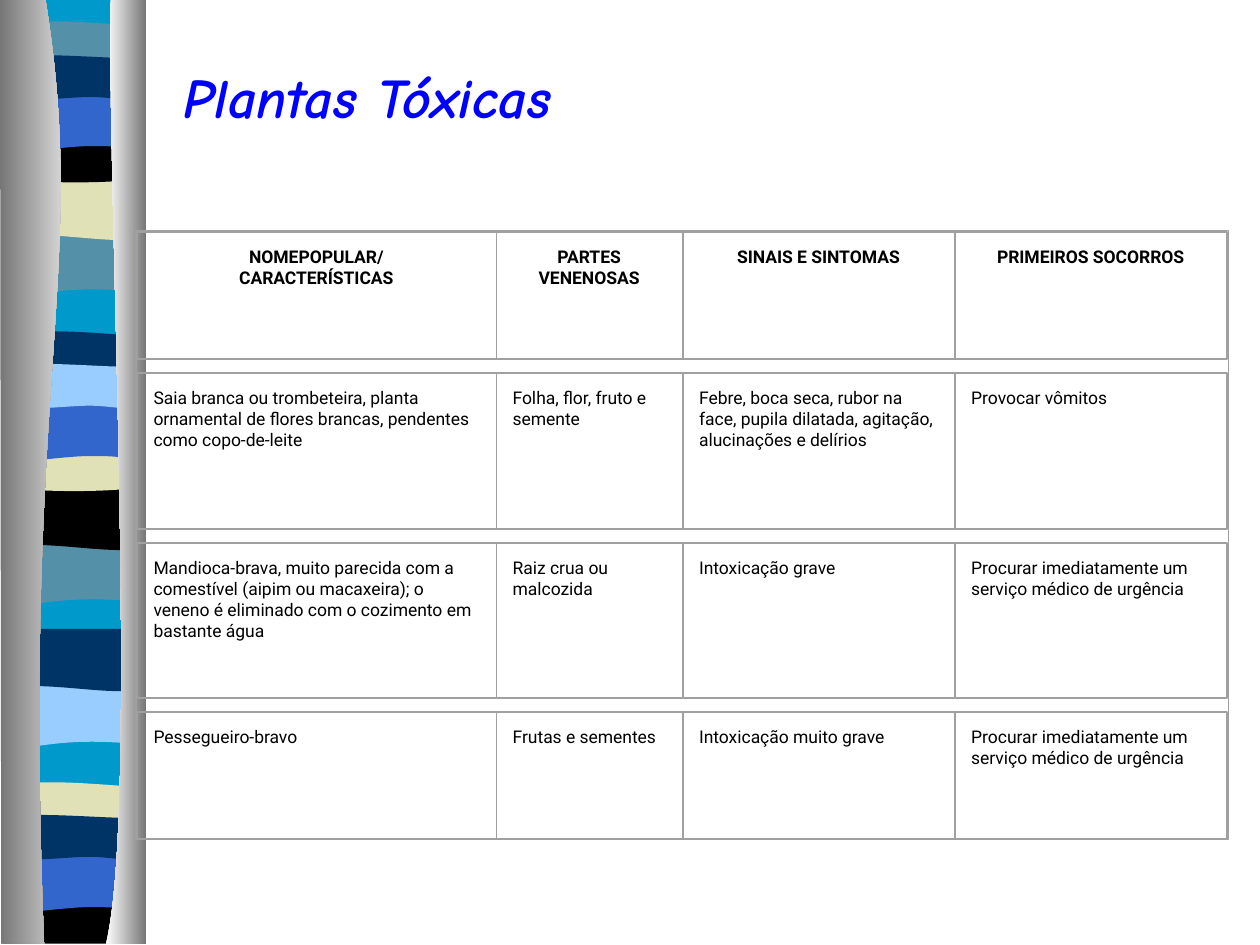
from dataclasses import dataclass

from lxml import etree
from pptx import Presentation
from pptx.dml.color import RGBColor
from pptx.enum.shapes import MSO_SHAPE
from pptx.enum.text import MSO_AUTO_SIZE, PP_ALIGN
from pptx.oxml.ns import qn
from pptx.util import Inches, Pt

RECT = MSO_SHAPE.RECTANGLE
GROW = MSO_AUTO_SIZE.SHAPE_TO_FIT_TEXT
LEFT, CENTER = PP_ALIGN.LEFT, PP_ALIGN.CENTER


@dataclass(frozen=True)
class Theme:
    head: str = "Comic Neue"
    body: str = "Roboto"
    title: int = 32
    small: int = 10
    blue: str = "0000FF"
    ink: str = "000000"
    rule: str = "A0A0A0"
    dark: str = "767676"
    white: str = "FFFFFF"
    cyan: str = "0099CC"
    teal: str = "5490A8"
    sand: str = "E1E1B7"
    royal: str = "3366CC"
    navy: str = "003366"
    sky: str = "99CCFF"
    thin: float = 0
    frame: float = 0.88


T = Theme()

# Outlines in inches: two numbers make a line, six make a curve
WAVES = {
    "base": [(1.08, 0), (1.08, 7.48), (0, 7.48), (0, 0)],
    "dip": [(1.08, 0), (1.08, 0.47), (0.33, 0.39, 0.18, 0.55, 0, 0.47), (0, 0)],
    "swell": [(1.08, 0), (1.08, 0.47), (0.9, 0.55, 0.33, 0.41, 0, 0.47), (0, 0)],
    "strip": [(1.08, 0.05), (1.08, 0.29), (0.9, 0.34, 0.18, 0.34, 0, 0.29),
              (0, 0.05), (0.07, 0, 0.23, 0.01, 0.41, 0.01),
              (0.59, 0.01, 0.94, 0.04, 1.08, 0.05)],
    "bowl": [(1.08, 0), (1.08, 0.33), (0.9, 0.38, 0.18, 0.38, 0, 0.33),
             (0, 0), (0.66, 0.05, 0.85, 0, 1.08, 0)],
    "foot": [(1.07, 0), (1.08, 0.37), (0.01, 0.37), (0, 0),
             (0.66, 0.05, 0.85, 0, 1.07, 0)],
    "arch": [(1.08, 0), (1.08, 0.47), (0.91, 0.42, 0.84, 0.42, 0.66, 0.42),
             (0.48, 0.42, 0.16, 0.47, 0, 0.47), (0, 0)],
    "lip": [(1.08, 0.05), (1.08, 0.36), (1.01, 0.41, 0.84, 0.36, 0.66, 0.36),
            (0.48, 0.36, 0.11, 0.41, 0, 0.36), (0, 0.05),
            (0.15, 0, 0.73, 0.05, 0.91, 0.05),
            (1.09, 0.05, 1.04, 0.05, 1.08, 0.05)],
}

# Bands from back to front, by left edge: outline, top, colour
BANDS = {
    0.06: [
        ("base", -0.01, T.cyan), ("dip", 1.85, T.teal),
        ("swell", 1.41, T.sand), ("strip", 0.16, T.teal),
        ("bowl", 1.08, T.ink), ("arch", 0.74, T.royal), ("lip", 0.41, T.navy)],
    0.05: [
        ("dip", 4.31, T.teal), ("swell", 3.87, T.ink), ("strip", 2.62, T.navy),
        ("bowl", 3.53, T.sand), ("arch", 3.2, T.royal), ("lip", 2.86, T.sky),
        ("dip", 5.44, T.sky), ("swell", 4.99, T.navy), ("strip", 6.2, T.sand),
        ("foot", 7.12, T.ink), ("arch", 6.78, T.royal), ("lip", 6.44, T.navy)],
}

# Grey pillars: outline, left colour, right colour
PILLARS = [
    ([(0.36, 0), (0.71, 2.17, 0.17, 2.97, 0.35, 7.5), (0.01, 7.5), (0, 0)],
     T.dark, T.white),
    ([(0.88, 0), (0.84, 1.26, 1.11, 6.47, 0.84, 7.5), (1.16, 7.5), (1.16, 0.01)],
     T.white, T.dark),
]

COLS = [2.85, 1.48, 2.16, 2.16]
HIGHS = [1.01, 1.24, 1.23, 1.01]
GAP = 0.11
ROWS = [
    ["NOMEPOPULAR/\nCARACTERÍSTICAS", "PARTES VENENOSAS",
     "SINAIS E SINTOMAS", "PRIMEIROS SOCORROS"],
    ["Saia branca ou trombeteira, planta ornamental de flores brancas, "
     "pendentes como copo-de-leite", "Folha, flor, fruto e semente",
     "Febre, boca seca, rubor na face, pupila dilatada, agitação, "
     "alucinações e delírios", "Provocar vômitos"],
    ["Mandioca-brava, muito parecida com a comestível (aipim ou macaxeira); "
     "o veneno é eliminado com o cozimento em bastante água",
     "Raiz crua ou malcozida", "Intoxicação grave",
     "Procurar imediatamente um serviço médico de urgência"],
    ["Pessegueiro-bravo", "Frutas e sementes", "Intoxicação muito grave",
     "Procurar imediatamente um serviço médico de urgência"],
]


def rgb(code):
    return RGBColor.from_string(code)


def area(x, y, w, h):
    return Inches(x), Inches(y), Inches(w), Inches(h)


def draw(slide, path, x, y):
    """Draw an outline, joining each three points of a curve into one."""
    pts = [(Inches(x + seg[i]), Inches(y + seg[i + 1]))
           for seg in path for i in range(0, len(seg), 2)]
    form = slide.shapes.build_freeform(*pts[0], scale=1.0)
    form.add_line_segments(pts[1:], close=True)
    shape = form.convert_to_shape()
    lines = iter(shape._element.findall(f".//{qn('a:lnTo')}"))
    for seg in path[1:]:
        line = next(lines)
        if len(seg) == 6:
            curve = etree.Element(qn("a:cubicBezTo"))
            line.addprevious(curve)
            for part in (line, next(lines), next(lines)):
                curve.append(part[0])
                part.getparent().remove(part)
    shape.shadow.inherit = False
    shape.line.fill.background()
    return shape


def ribbon(slide, x, y):
    # Coloured waves
    for left, bands in BANDS.items():
        for kind, top, color in bands:
            fill = draw(slide, WAVES[kind], x + left, y + top).fill
            fill.solid()
            fill.fore_color.rgb = rgb(color)
    # Pillars on both sides
    for path, *ends in PILLARS:
        fill = draw(slide, path, x, y - 0.01).fill
        fill.gradient()
        fill.gradient_angle = 0
        for stop, color in zip(fill.gradient_stops, ends):
            stop.color.rgb = rgb(color)


def write(slide, box, text, color, align=LEFT, wrap=True, **values):
    frame = slide.shapes.add_textbox(*area(*box)).text_frame
    frame.word_wrap = wrap
    if not wrap:
        frame.auto_size = GROW
    frame.text = text
    for para in frame.paragraphs:
        para.alignment = align
        for run in para.runs:
            for name, value in values.items():
                setattr(run.font, name, value)
            run.font.color.rgb = rgb(color)


def heading(slide, *box):
    write(slide, box, "Plantas Tóxicas", T.blue, wrap=False,
          name=T.head, size=Pt(T.title), bold=True, italic=True)


def outline(slide, box, width):
    shape = slide.shapes.add_shape(RECT, *area(*box))
    shape.shadow.inherit = False
    shape.fill.background()
    shape.line.color.rgb = rgb(T.rule)
    shape.line.width = Pt(width)


def grid(slide, x, y):
    # Cells, row by row
    top = y
    for r, (row, high) in enumerate(zip(ROWS, HIGHS)):
        left = x
        for text, wide in zip(row, COLS):
            inner = (left + 0.03, top + 0.06, wide - 0.07, high - 0.11)
            write(slide, inner, text, T.ink, LEFT if r else CENTER,
                  name=T.body, size=Pt(T.small), bold=r == 0)
            outline(slide, (left, top, wide, high), T.thin)
            left += wide
        top += high + GAP
    # Outer frame
    outline(slide, (x - 0.01, y - 0.01, sum(COLS) + 0.02, top - GAP - y + 0.01),
            T.frame)


def main():
    deck = Presentation()
    deck.slide_width, deck.slide_height = Inches(10), Inches(7.5)
    slide = deck.slides.add_slide(deck.slide_layouts[6])
    ribbon(slide, 0, 0)
    heading(slide, 1.36, 0.45, 3.15, 0.64)
    grid(slide, 1.09, 1.84)
    deck.save("out.pptx")


if __name__ == "__main__":
    main()
